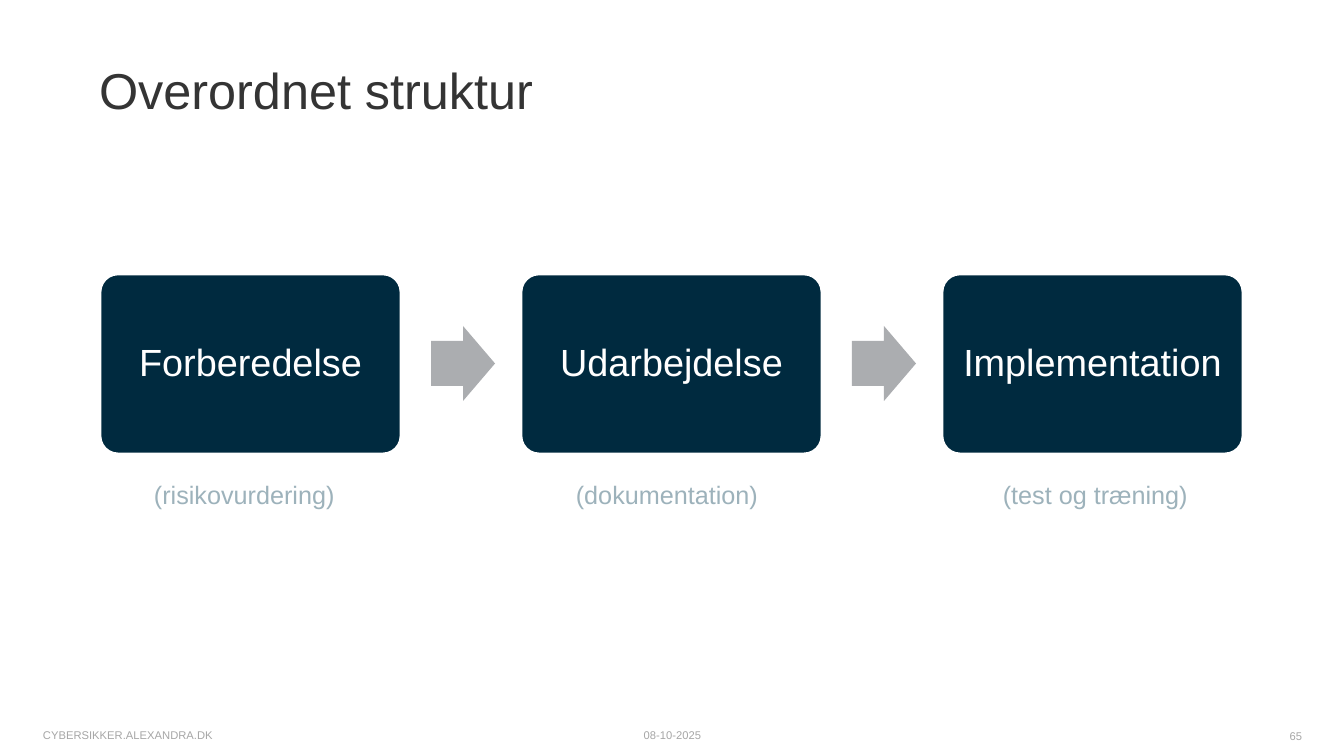
from dataclasses import dataclass

from pptx import Presentation
from pptx.dml.color import RGBColor
from pptx.enum.shapes import MSO_SHAPE as Shape
from pptx.enum.text import MSO_ANCHOR as Anchor, PP_ALIGN as Align
from pptx.util import Emu, Pt

# Content
TITLE = "Overordnet struktur"
STEPS = [  # step, caption, caption left, caption width
    ("Forberedelse", "(risikovurdering)", 144, 203),
    ("Udarbejdelse", "(dokumentation)", 566, 212),
    ("Implementation", "(test og træning)", 993, 207),
]
FOOTERS = [  # text, (left, top, width, height), alignment
    ("CYBERSIKKER.ALEXANDRA.DK", (33, 723, 346, 20), Align.LEFT),
    ("08-10-2025", (513, 723, 319, 20), Align.CENTER),
    ("65", (1097, 724, 215, 24), Align.RIGHT),
]


@dataclass(frozen=True)
class Theme:
    font: str = "Arial"
    heading: str = "343434"
    card: str = "002A3F"
    white: str = "FFFFFF"
    arrow: str = "ABADB0"
    caption: str = "9DB2BB"
    footer: str = "A6A6A6"
    heading_size: int = 36
    card_size: int = 27
    caption_size: int = 18
    footer_size: int = 8


THEME = Theme()

# Layout in px
PAGE_WIDTH, PAGE_HEIGHT = 1344, 756
CARD_LEFT, CARD_TOP, CARD_WIDTH, CARD_HEIGHT = 100, 274, 301, 180
CARD_PITCH = 421
ARROW_OFFSET, ARROW_WIDTH, ARROW_HEIGHT = 331, 64, 75
ARROW_TOP = CARD_TOP + (CARD_HEIGHT - ARROW_HEIGHT) // 2
CAPTION_TOP, CAPTION_HEIGHT = 474, 40
CARD_INSET = 11


def px(length):
    return Emu(round(length * 914400 / 100.8))


def color(name):
    return RGBColor.from_string(name)


def write(shape, text, size, ink, align=Align.LEFT):
    frame = shape.text_frame
    para = frame.paragraphs[0]
    para.text = text
    para.alignment = align
    para.font.name = THEME.font
    para.font.size = Pt(size)
    para.font.color.rgb = color(ink)
    return frame


def set_insets(frame, inset):
    frame.margin_left = frame.margin_right = px(inset)
    frame.margin_top = frame.margin_bottom = px(inset)


def add_label(page, box, *style, wrap=True):
    label = page.shapes.add_textbox(*map(px, box))
    frame = write(label, *style)
    frame.word_wrap = wrap
    return frame


def add_block(page, kind, box, fill):
    block = page.shapes.add_shape(kind, *map(px, box))
    block.shadow.inherit = False
    block.fill.solid()
    block.fill.fore_color.rgb = color(fill)
    return block


def add_card(page, left, text):
    card = add_block(page, Shape.ROUNDED_RECTANGLE,
                     (left, CARD_TOP, CARD_WIDTH, CARD_HEIGHT), THEME.card)
    card.adjustments[0] = 0.1
    card.line.color.rgb = color(THEME.white)
    card.line.width = Pt(2)
    frame = write(card, text, THEME.card_size, THEME.white, Align.CENTER)
    frame.word_wrap = True
    frame.vertical_anchor = Anchor.MIDDLE
    frame.paragraphs[0].line_spacing = 0.9
    set_insets(frame, CARD_INSET)


def add_arrow(page, left):
    arrow = add_block(page, Shape.RIGHT_ARROW,
                      (left, ARROW_TOP, ARROW_WIDTH, ARROW_HEIGHT), THEME.arrow)
    arrow.adjustments[0] = 0.6
    arrow.adjustments[1] = 0.5
    arrow.line.fill.background()


def main():
    deck = Presentation()
    deck.slide_width, deck.slide_height = px(PAGE_WIDTH), px(PAGE_HEIGHT)
    page = deck.slides.add_slide(deck.slide_layouts[6])

    # Title
    heading = add_label(page, (99, 59, 1151, 61), TITLE,
                        THEME.heading_size, THEME.heading)
    set_insets(heading, 0)

    # Steps with arrows between them
    for index, (step, caption, caption_left, caption_width) in enumerate(STEPS):
        left = CARD_LEFT + index * CARD_PITCH
        add_card(page, left, step)
        if index < len(STEPS) - 1:
            add_arrow(page, left + ARROW_OFFSET)
        add_label(page, (caption_left, CAPTION_TOP, caption_width, CAPTION_HEIGHT),
                  caption, THEME.caption_size, THEME.caption, wrap=False)

    # Footer
    for text, box, align in FOOTERS:
        add_label(page, box, text, THEME.footer_size, THEME.footer, align)

    deck.save("out.pptx")


if __name__ == "__main__":
    main()
